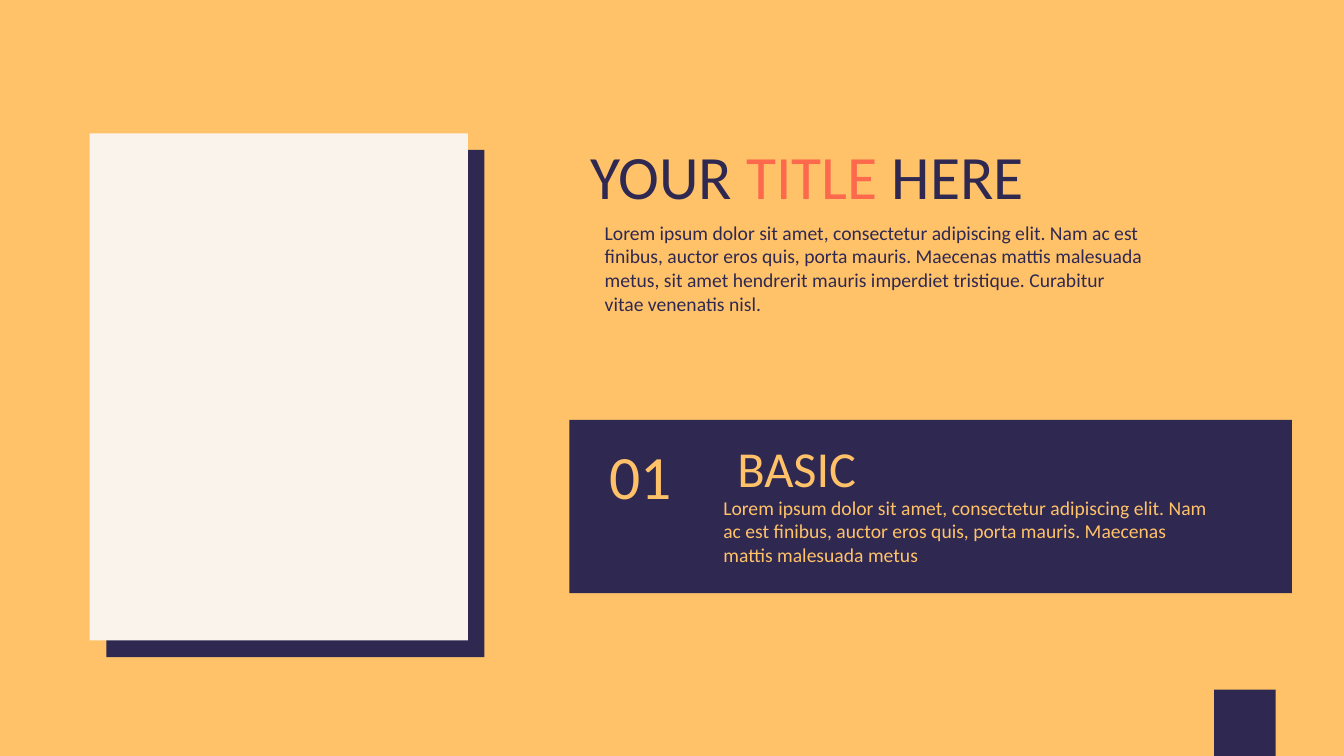
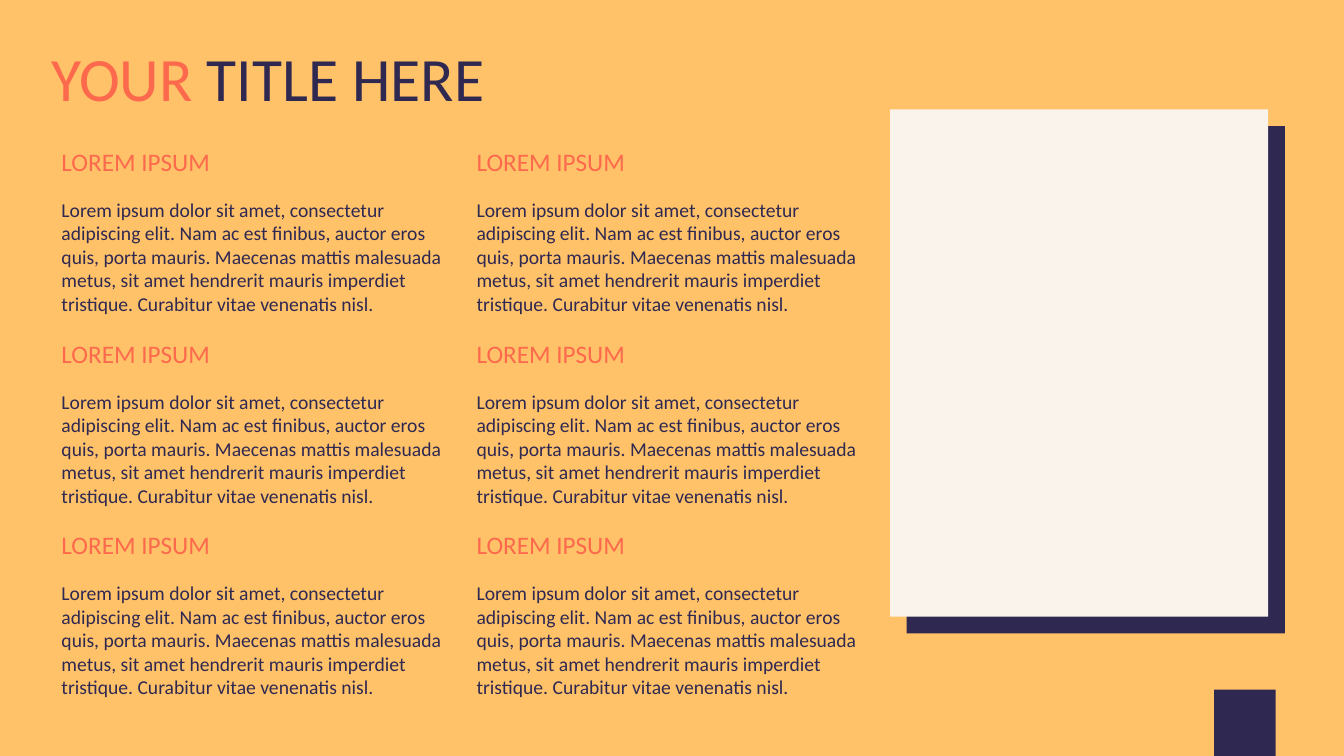
"""Build two title slides with a framed panel, text blocks and a corner tab."""
from dataclasses import dataclass
from itertools import product

from pptx import Presentation
from pptx.dml.color import RGBColor
from pptx.enum.shapes import MSO_SHAPE
from pptx.enum.text import MSO_AUTO_SIZE, PP_ALIGN
from pptx.util import Cm, Pt

RECTANGLE = MSO_SHAPE.RECTANGLE
FIT_SHAPE = MSO_AUTO_SIZE.SHAPE_TO_FIT_TEXT
LEFT, CENTER = PP_ALIGN.LEFT, PP_ALIGN.CENTER


@dataclass(frozen=True)
class Theme:
    """Hold the colours, font and type sizes."""
    font: str = "Calibri"
    amber: RGBColor = RGBColor(0xFF, 0xC2, 0x69)
    navy: RGBColor = RGBColor(0x2F, 0x28, 0x51)
    cream: RGBColor = RGBColor(0xFA, 0xF3, 0xEB)
    coral: RGBColor = RGBColor(0xFD, 0x69, 0x4C)
    title: int = 44
    subtitle: int = 36
    heading: int = 18
    body: int = 14


theme = Theme()
SHORT_TEXT = (
    "Lorem ipsum dolor sit amet, consectetur adipiscing elit. Nam ac est finibus, "
    "auctor eros quis, porta mauris. Maecenas mattis malesuada metus"
)
LONG_TEXT = SHORT_TEXT + (
    ", sit amet hendrerit mauris imperdiet tristique. Curabitur vitae venenatis nisl."
)


def add_block(slide, box, color):
    """Add a plain filled rectangle; box is left, top, width, height in cm."""
    shape = slide.shapes.add_shape(RECTANGLE, *map(Cm, box))
    shape.shadow.inherit = False
    shape.fill.solid()
    shape.fill.fore_color.rgb = color
    shape.line.fill.background()


def add_text(slide, box, size, runs, alignment=LEFT):
    """Add one paragraph made of (text, color) runs."""
    frame = slide.shapes.add_textbox(*map(Cm, box)).text_frame
    for name, value in {"word_wrap": True, "auto_size": FIT_SHAPE}.items():
        setattr(frame, name, value)
    paragraph = frame.paragraphs[0]
    paragraph.alignment = alignment
    for text, color in runs:
        run = paragraph.add_run()
        run.text = text
        for name, value in {"name": theme.font, "size": Pt(size)}.items():
            setattr(run.font, name, value)
        run.font.color.rgb = color


presentation = Presentation()
presentation.slide_width, presentation.slide_height = Cm(33.87), Cm(19.05)
background = presentation.slide_master.background.fill
background.solid()
background.fore_color.rgb = theme.amber
blank_layout = presentation.slide_layouts[6]

PANEL_WIDTH, PANEL_HEIGHT, PANEL_OFFSET = 9.53, 12.78, 0.42
TITLE_HEIGHT = 2.13
layouts = [
    {
        "panel": (2.26, 3.36),
        "title_box": (14.63, 3.35, 17.02, TITLE_HEIGHT),
        "title": [("YOUR ", theme.navy), ("TITLE", theme.coral), (" HERE", theme.navy)],
    },
    {
        "panel": (22.43, 2.76),
        "title_box": (1.04, 0.89, 20.98, TITLE_HEIGHT),
        "title": [("YOUR", theme.coral), (" TITLE HERE", theme.navy)],
    },
]
slides = []
for layout in layouts:
    slide = presentation.slides.add_slide(blank_layout)
    left, top = layout["panel"]
    for offset, color in ((PANEL_OFFSET, theme.navy), (0, theme.cream)):
        add_block(slide, (left + offset, top + offset, PANEL_WIDTH, PANEL_HEIGHT), color)
    add_text(slide, layout["title_box"], theme.title, layout["title"])
    add_block(slide, (30.6, 17.38, 1.55, 1.67), theme.navy)
    slides.append(slide)
feature_slide, grid_slide = slides

add_text(feature_slide, (14.99, 5.44, 14.1, 2.64), theme.body, [(LONG_TEXT, theme.navy)])
add_block(feature_slide, (14.35, 10.58, 18.21, 4.37), theme.navy)
for box, size, text, alignment in (
    ((15.11, 10.9, 3.63, TITLE_HEIGHT), theme.title, "01", LEFT),
    ((17.3, 10.9, 5.56, 1.8), theme.subtitle, "BASIC", CENTER),
    ((17.98, 12.37, 13.03, 2.06), theme.body, SHORT_TEXT, LEFT),
):
    add_text(feature_slide, box, size, [(text, theme.amber)], alignment)

GRID_LEFT, GRID_TOP = 1.3, 3.56
COLUMN_STEP, ROW_STEP, BODY_DROP = 10.46, 4.83, 1.3
for column, row in product(range(2), range(3)):
    left = GRID_LEFT + column * COLUMN_STEP
    top = GRID_TOP + row * ROW_STEP
    add_text(grid_slide, (left, top, 5.08, 1.02), theme.heading, [("LOREM IPSUM", theme.coral)])
    add_text(grid_slide, (left, top + BODY_DROP, 10.67, 3.25), theme.body, [(LONG_TEXT, theme.navy)])

presentation.save("out.pptx")
